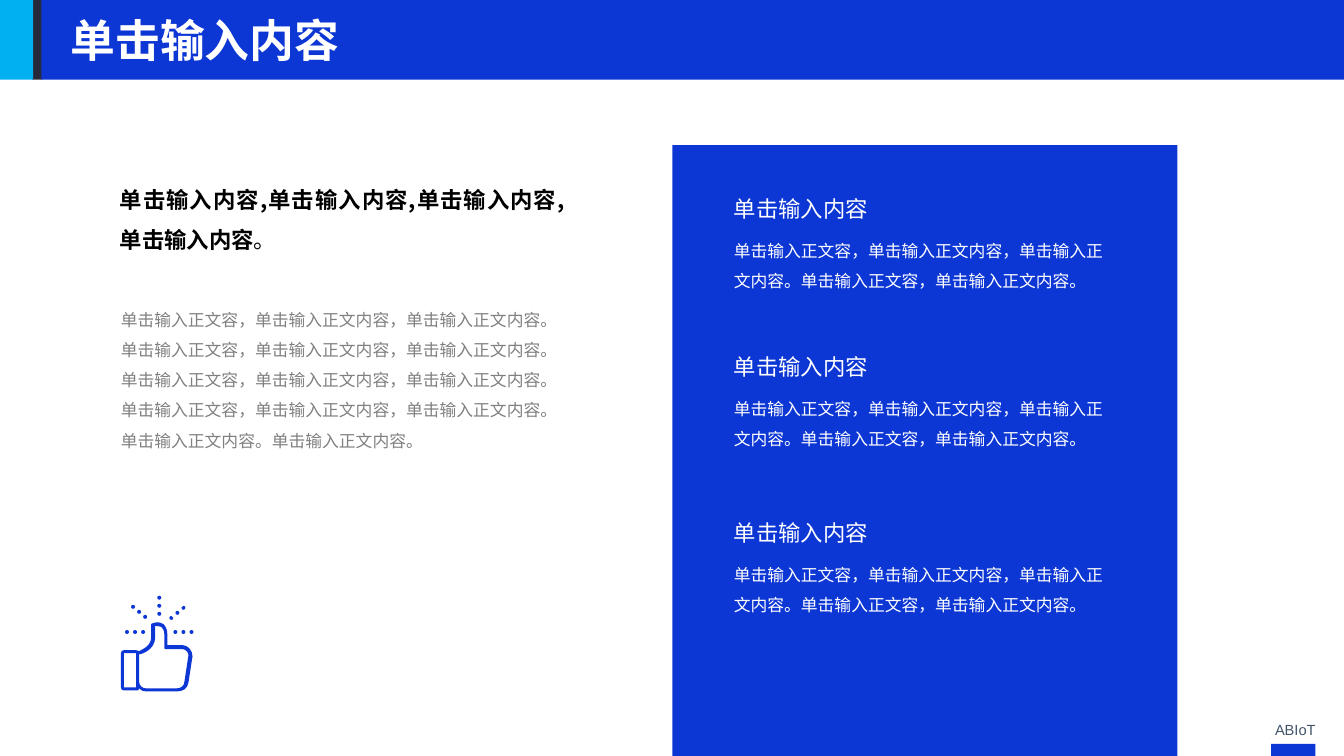
from pptx import Presentation
from pptx.dml.color import RGBColor
from pptx.enum.shapes import MSO_SHAPE as Shape
from pptx.enum.text import MSO_AUTO_SIZE as AutoSize, PP_ALIGN as Align
from pptx.oxml.ns import qn
from pptx.util import Inches, Pt

# Colours and fonts
BLUE = RGBColor(0x0D, 0x37, 0xD4)
CYAN = RGBColor(0x00, 0xB0, 0xF0)
DARK = RGBColor(0x26, 0x29, 0x3A)
SLATE = RGBColor(0x44, 0x54, 0x6A)
GRAY = RGBColor(0x80, 0x80, 0x80)
BLACK = RGBColor(0x00, 0x00, 0x00)
WHITE = RGBColor(0xFF, 0xFF, 0xFF)
CJK_FONT, LATIN_FONT = "Noto Sans CJK SC", "Arial"

# Content
TITLE = "单击输入内容"
FOOTER = "ABIoT"
LEAD = ",".join([TITLE] * 4)
SENTENCE = "单击输入正文容，单击输入正文内容，单击输入正文内容。"
BODY = SENTENCE * 4 + "单击输入正文内容。" * 2
ITEM_TEXT = SENTENCE + "单击输入正文容，单击输入正文内容。"
ITEMS = [  # heading, text, heading line spacing
    (TITLE, ITEM_TEXT, 1.5),
    (TITLE, ITEM_TEXT, 1.2),
    (TITLE, ITEM_TEXT, 1.2),
]
ITEM_TOP, ITEM_STEP = 1.76, 1.65

BLOCKS = [  # left, top, width, height, colour
    (0.32, 0, 0.1, 0.79, DARK),
    (0, 0, 0.33, 0.79, CYAN),
    (0.41, 0, 12.93, 0.79, BLUE),
    (12.61, 7.38, 0.44, 0.12, BLUE),
    (6.67, 1.44, 5.01, 6.06, BLUE),
]

# Thumbs-up icon: rays of dots (first centre, step), then the hand contours
DOT_RADIUS, DOTS_PER_RAY = 0.02, 3
RAYS = [
    ((1.58, 5.93), (0, 0.08)),
    ((1.26, 6.27), (0.08, 0)),
    ((1.74, 6.27), (0.08, 0)),
    ((1.32, 6.02), (0.06, 0.05)),
    ((1.82, 6.03), (-0.06, 0.05)),
]
# Each contour is a start and its segments: one point is a line, three a curve
HAND_OUTER = ((1.2, 6.48), [
    [(1.2, 6.82)],
    [(1.2, 6.84), (1.21, 6.85), (1.23, 6.85)],
    [(1.35, 6.85)],
    [(1.37, 6.85), (1.38, 6.85), (1.38, 6.83)],
    [(1.4, 6.85), (1.42, 6.86), (1.45, 6.86)],
    [(1.75, 6.86)],
    [(1.82, 6.86), (1.86, 6.83), (1.87, 6.77)],
    [(1.91, 6.51)],
    [(1.91, 6.45), (1.86, 6.4), (1.81, 6.4)],
    [(1.66, 6.4)],
    [(1.66, 6.29)],
    [(1.66, 6.24), (1.64, 6.21), (1.62, 6.19)],
    [(1.57, 6.16), (1.52, 6.18), (1.5, 6.19)],
    [(1.5, 6.32)],
    [(1.5, 6.42), (1.39, 6.45), (1.38, 6.46)],
    [(1.37, 6.45), (1.37, 6.45), (1.35, 6.45)],
    [(1.23, 6.45)],
    [(1.21, 6.45), (1.2, 6.46), (1.2, 6.48)],
])
HAND_INNER = ((1.39, 6.49), [
    [(1.4, 6.49), (1.54, 6.45), (1.54, 6.32)],
    [(1.54, 6.21)],
    [(1.55, 6.21), (1.58, 6.21), (1.6, 6.22)],
    [(1.61, 6.23), (1.63, 6.25), (1.63, 6.29)],
    [(1.63, 6.42)],
    [(1.63, 6.43), (1.63, 6.44), (1.64, 6.44)],
    [(1.81, 6.44)],
    [(1.84, 6.44), (1.87, 6.47), (1.87, 6.5)],
    [(1.83, 6.76)],
    [(1.83, 6.8), (1.8, 6.83), (1.75, 6.83)],
    [(1.45, 6.83)],
    [(1.41, 6.83), (1.38, 6.8), (1.38, 6.76)],
    [(1.38, 6.49)],
])
CUFF_INNER = ((1.23, 6.48), [[(1.35, 6.48)], [(1.35, 6.82)], [(1.23, 6.82)]])

presentation = Presentation()
presentation.slide_width, presentation.slide_height = Inches(40 / 3), Inches(7.5)
slide = presentation.slides.add_slide(presentation.slide_layouts[6])


def fill_plain(shape, colour):
    shape.shadow.inherit = False
    shape.fill.solid()
    shape.fill.fore_color.rgb = colour
    shape.line.fill.background()


def style_run(run, size, colour, bold=False, font=CJK_FONT):
    run.font.size, run.font.bold, run.font.name = Pt(size), bold, font
    run.font.color.rgb = colour
    east_asian = run.font._element.makeelement(qn("a:ea"), {"typeface": font})
    run.font._element.find(qn("a:latin")).addnext(east_asian)


def add_text(left, top, width, height, lines):
    box = slide.shapes.add_textbox(*map(Inches, (left, top, width, height)))
    frame = box.text_frame
    frame.word_wrap = True
    frame.auto_size = AutoSize.SHAPE_TO_FIT_TEXT
    frame.text = "\n".join(text for text, *_ in lines)
    for paragraph, (_, size, colour, spacing, before) in zip(frame.paragraphs, lines):
        paragraph.line_spacing = spacing
        paragraph.space_before = Pt(before)
        style_run(paragraph.runs[0], size, colour)
    return frame


def dot_contour(x, y):
    r, k = DOT_RADIUS, DOT_RADIUS * 0.55
    quarters = [[(r, k), (k, r), (0, r)], [(-k, r), (-r, k), (-r, 0)],
                [(-r, -k), (-k, -r), (0, -r)], [(k, -r), (r, -k), (r, 0)]]
    return (x + r, y), [[(x + dx, y + dy) for dx, dy in q] for q in quarters]


def add_curved_shape(contours, colour):
    builder = slide.shapes.build_freeform(*map(Inches, contours[0][0]), scale=1.0)
    for index, (start, segments) in enumerate(contours):
        if index:
            builder.move_to(*map(Inches, start))
        points = [(Inches(x), Inches(y)) for segment in segments for x, y in segment]
        builder.add_line_segments(points, close=True)
    shape = builder.convert_to_shape()
    fill_plain(shape, colour)

    # Turn each group of three points into one curve
    lines = iter(list(shape._element.iter(qn("a:lnTo"))))
    for _, segments in contours:
        for segment in segments:
            group = [next(lines) for _ in segment]
            if len(group) == 3:
                curve = group[0].makeelement(qn("a:cubicBezTo"), {})
                group[0].addprevious(curve)
                for line in group:
                    curve.append(line[0])
                    line.getparent().remove(line)


# Header, panel and footer mark
for *place, colour in BLOCKS:
    block = slide.shapes.add_shape(Shape.RECTANGLE, *map(Inches, place))
    fill_plain(block, colour)

# Title and footer
title = add_text(0.6, 0.08, 7.09, 0.64, [(TITLE, 32, WHITE, 1, 0)])
title.paragraphs[0].runs[0].font.bold = True
footer = add_text(12.26, 7.1, 0.89, 0.28, [(FOOTER, 10.5, SLATE, 1, 0)])
footer.paragraphs[0].alignment = Align.RIGHT
footer.paragraphs[0].runs[0].font.name = LATIN_FONT

# Left column
lead = add_text(1.09, 1.66, 4.61, 0.91, [(LEAD, 16, BLACK, 1.5, 0)])
lead_paragraph = lead.paragraphs[0]
lead_paragraph.alignment = Align.JUSTIFY
lead_paragraph.runs[0].font.bold = True
full_stop = lead_paragraph.add_run()
full_stop.text = "。"
style_run(full_stop, 16, BLACK)
add_text(1.1, 2.92, 4.51, 2, [(BODY, 12, GRAY, 1.5, 6)])

# Panel items
for index, (heading, text, spacing) in enumerate(ITEMS):
    item = add_text(7.28, ITEM_TOP + index * ITEM_STEP, 3.95, 1.09,
                    [(heading, 16, WHITE, spacing, 6), (text, 12, WHITE, 1.5, 6)])
    item.margin_left, item.margin_right = Inches(0), Inches(0.24)
    item.margin_top = item.margin_bottom = Inches(0.04)

# Icon
dots = [dot_contour(x + index * step_x, y + index * step_y)
        for (x, y), (step_x, step_y) in RAYS for index in range(DOTS_PER_RAY)]
add_curved_shape([*dots, HAND_OUTER, HAND_INNER, CUFF_INNER], BLUE)

presentation.save("out.pptx")
